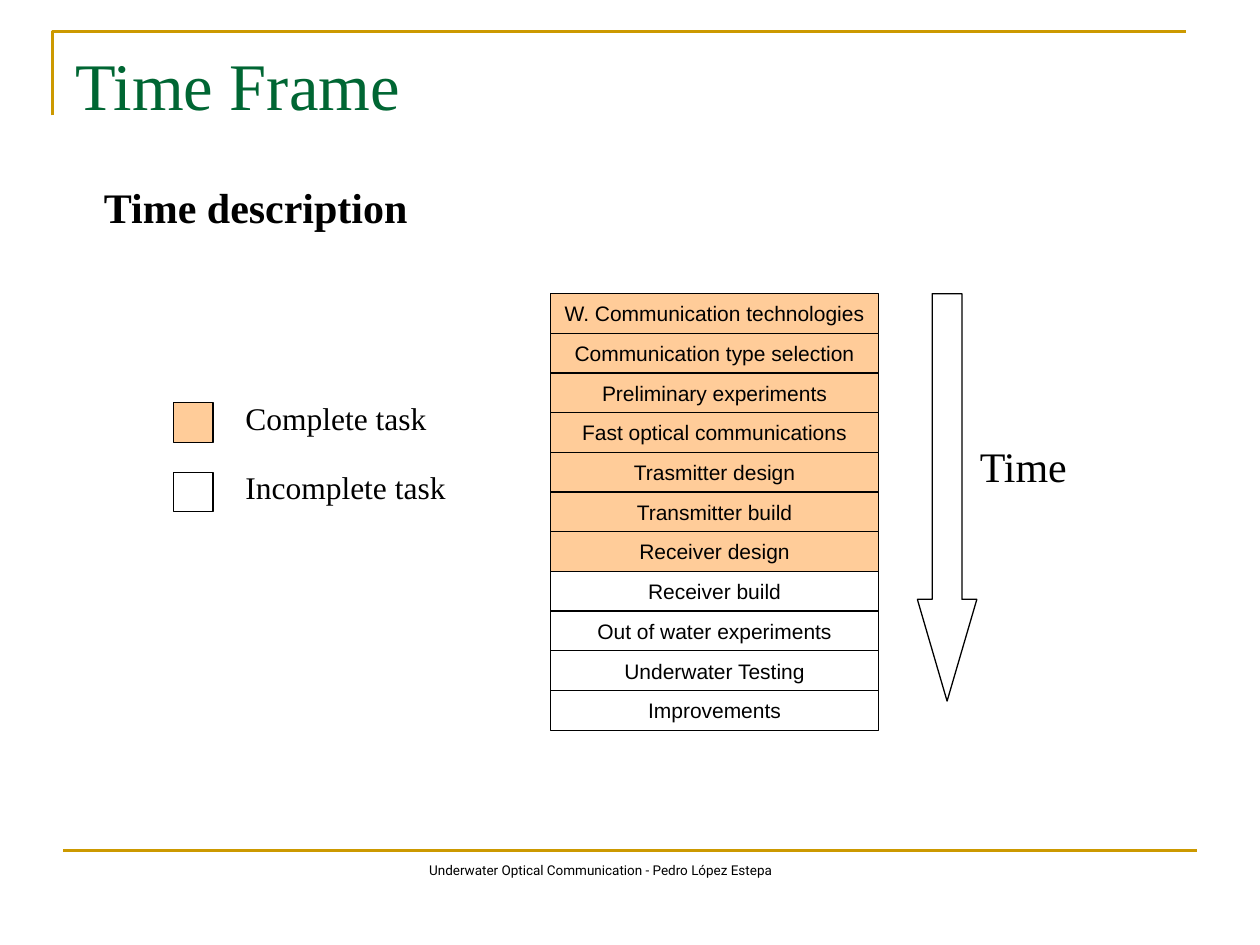
from dataclasses import dataclass

from pptx import Presentation
from pptx.dml.color import RGBColor
from pptx.enum.shapes import MSO_CONNECTOR, MSO_SHAPE
from pptx.enum.text import MSO_ANCHOR, PP_ALIGN
from pptx.oxml.ns import qn
from pptx.util import Pt
from lxml.etree import SubElement

TITLE = "Time Frame"
HEADING = "Time description"
FOOTER = "Underwater Optical Communication - Pedro López Estepa"
AXIS_LABEL = "Time"
TASKS = [
    ("W. Communication technologies", True),
    ("Communication type selection", True),
    ("Preliminary experiments", True),
    ("Fast optical communications", True),
    ("Trasmitter design", True),
    ("Transmitter build", True),
    ("Receiver design", True),
    ("Receiver build", False),
    ("Out of water experiments", False),
    ("Underwater Testing", False),
    ("Improvements", False),
]
LEGEND = [("Complete task", True), ("Incomplete task", False)]


@dataclass(frozen=True)
class Theme:
    ink: str = "000000"
    title: str = "006633"
    rule: str = "CC9900"
    complete: str = "FFCC99"
    serif: str = "Times New Roman"
    sans: str = "Arial"
    footer_font: str = "Roboto"
    title_size: float = 38
    heading_size: float = 24
    legend_size: float = 18
    task_size: float = 12
    footer_size: float = 7.7
    rule_width: float = 1.5
    outline_width: float = 0.75


THEME = Theme()
TASK_LEFT, TASK_TOP, TASK_WIDTH, TASK_HEIGHT = 314.6, 167.8, 187.5, 22.68
LEGEND_TOP, LEGEND_PITCH = 230.2, 39.6


def write(frame, text, *, size, font=THEME.serif, color=THEME.ink, bold=False,
          align=PP_ALIGN.LEFT, anchor=MSO_ANCHOR.TOP, wrap=True, inset=7.2, spacing=None):
    frame.word_wrap = wrap
    frame.vertical_anchor = anchor
    frame.margin_left = Pt(inset)
    para = frame.paragraphs[0]
    para.alignment = align
    para.line_spacing = spacing
    span = para.add_run()
    span.text = text
    span.font.name = font
    span.font.size = Pt(size)
    span.font.bold = bold
    span.font.color.rgb = RGBColor.from_string(color)


def add_text(page, bounds, text, **style):
    box = page.shapes.add_textbox(*map(Pt, bounds))
    write(box.text_frame, text, **style)


def set_line(line, color, width):
    line.color.rgb = RGBColor.from_string(color)
    line.width = Pt(width)


def add_outlined(page, kind, bounds, filled=False):
    shape = page.shapes.add_shape(kind, *map(Pt, bounds))
    shape.shadow.inherit = False
    if filled:
        shape.fill.solid()
        shape.fill.fore_color.rgb = RGBColor.from_string(THEME.complete)
    else:
        shape.fill.background()
    set_line(shape.line, THEME.ink, THEME.outline_width)
    return shape


def add_rules(page):
    builder = page.shapes.build_freeform(Pt(30), Pt(66))
    builder.add_line_segments([(Pt(30), Pt(18)), (Pt(678), Pt(18))], close=False)
    bracket = builder.convert_to_shape()
    bracket.shadow.inherit = False
    bracket.fill.background()
    set_line(bracket.line, THEME.rule, THEME.rule_width)
    rule = page.shapes.add_connector(MSO_CONNECTOR.STRAIGHT, Pt(36), Pt(486), Pt(684), Pt(486))
    set_line(rule.line, THEME.rule, THEME.rule_width)
    SubElement(rule._element.spPr, qn("a:effectLst"))


def add_tasks(page):
    for index, (name, complete) in enumerate(TASKS):
        bounds = (TASK_LEFT, TASK_TOP + index * TASK_HEIGHT, TASK_WIDTH, TASK_HEIGHT)
        task = add_outlined(page, MSO_SHAPE.RECTANGLE, bounds, complete)
        write(task.text_frame, name, size=THEME.task_size, font=THEME.sans,
              align=PP_ALIGN.CENTER, anchor=MSO_ANCHOR.MIDDLE, wrap=False)


def add_time_arrow(page):
    arrow = add_outlined(page, MSO_SHAPE.DOWN_ARROW, (524.2, TASK_TOP, 34, 232.8))
    arrow.adjustments[0] = 0.5
    arrow.adjustments[1] = 1.71
    add_text(page, (552.8, 248, 136, 36), AXIS_LABEL, size=THEME.heading_size)


def add_legend(page):
    for index, (label, complete) in enumerate(LEGEND):
        top = LEGEND_TOP + index * LEGEND_PITCH
        add_outlined(page, MSO_SHAPE.RECTANGLE, (99, top, 22.7, 22.7), complete)
        add_text(page, (133.2, top - 5.6, 153, 28.8), label, size=THEME.legend_size)


def main():
    """Build the time frame slide and save it."""
    deck = Presentation()
    deck.slide_width, deck.slide_height = Pt(720), Pt(540)
    page = deck.slides.add_slide(deck.slide_layouts[6])
    add_rules(page)
    add_text(page, (36, 21.6, 648, 90), TITLE, size=THEME.title_size, color=THEME.title)
    add_text(page, (19.4, 100, 658, 380), HEADING, size=THEME.heading_size, bold=True, inset=40)
    add_text(page, (144.7, 491, 396.7, 17.3), FOOTER, size=THEME.footer_size,
             font=THEME.footer_font, align=PP_ALIGN.CENTER, spacing=0.8)
    add_tasks(page)
    add_time_arrow(page)
    add_legend(page)
    deck.save("out.pptx")


if __name__ == "__main__":
    main()
